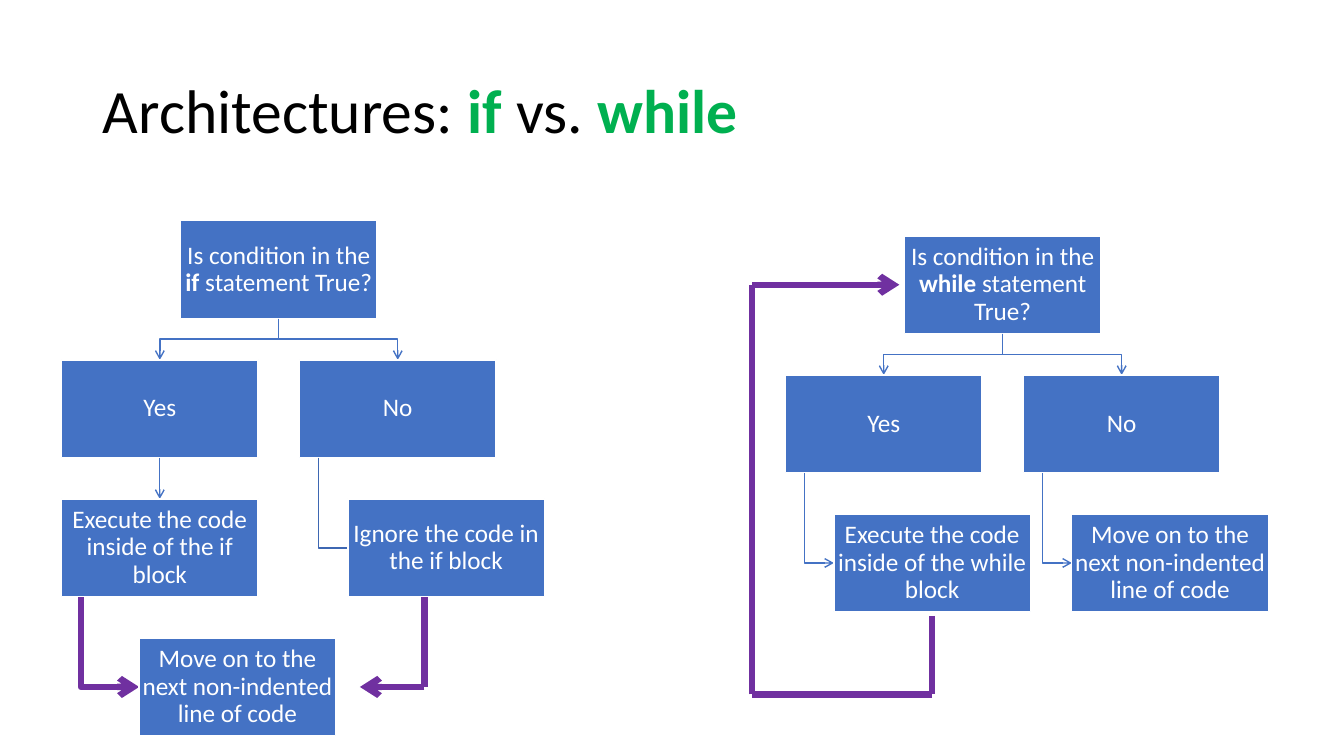
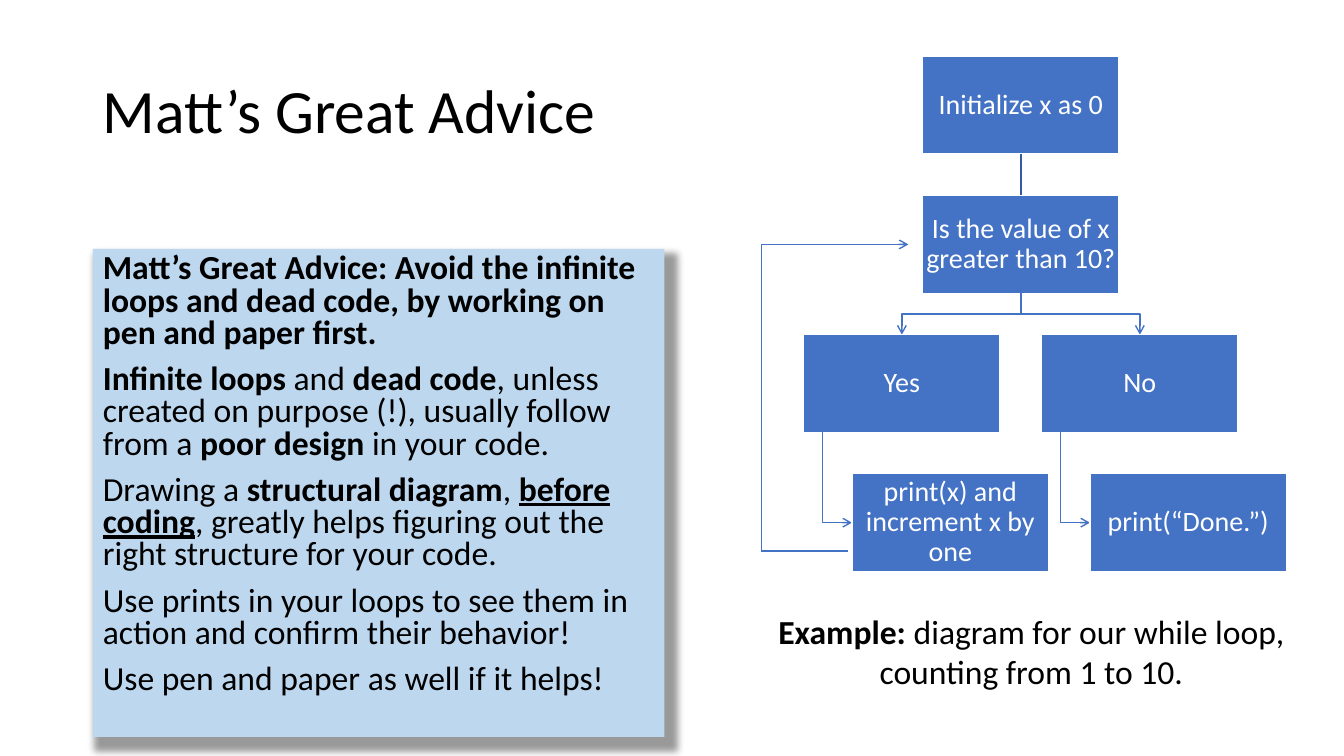
from dataclasses import dataclass
from itertools import pairwise

from lxml import etree
from pptx import Presentation
from pptx import util as u
from pptx.dml.color import RGBColor
from pptx.enum import shapes, text
from pptx.oxml import ns

COLORS = {
    "box": "4472C4", "white": "FFFFFF", "black": "000000", "keyword": "00B050",
    "flow": "7030A0", "plain_link": "3E67B2", "start_link": "365B9D", "panel": "BDD7EE",
}
FONT = "Calibri"
SLIDE_W, SLIDE_H = 13.33, 7.5
BOX_W, BOX_H, GAP = 1.95, 0.97, 0.41
COLUMN, ROW = BOX_W + GAP, BOX_H + GAP
SPINE, HANG = 0.19, 0.48  # offsets of a hanging link and its box from the parent's left
TITLE_AREA = (0.92, 0.4, 11.5, 1.45)
TITLE_ONLY, TITLE_AND_BODY = 5, 1


@dataclass
class Box:
    left: float
    top: float

    @property
    def center(self):
        return self.left + BOX_W / 2

    @property
    def middle(self):
        return self.top + BOX_H / 2

    @property
    def bottom(self):
        return self.top + BOX_H

    def moved(self, across, down):
        return Box(self.left + across, self.top + down)


def rgb(name):
    return RGBColor.from_string(COLORS[name])


def lengths(*values):
    return [u.Inches(value) for value in values]


def place(shape, area):
    shape.left, shape.top, shape.width, shape.height = lengths(*area)


def write(paragraph, parts, size, color, align=text.PP_ALIGN.LEFT, spacing=1.0):
    """Fill a paragraph from strings and (string, style) pairs; b bold, u underlined, k keyword."""
    paragraph.alignment = align
    paragraph.line_spacing = spacing
    paragraph.space_before = u.Pt(0)
    for part in [parts] if isinstance(parts, str) else parts:
        words, style = (part, "") if isinstance(part, str) else part
        run = paragraph.add_run()
        run.text = words
        font = run.font
        font.name, font.size = FONT, u.Pt(size)
        font.bold, font.underline = "b" in style, "u" in style
        font.color.rgb = rgb("keyword" if "k" in style else color)


def finish_line(shape, color, width, arrow):
    shape.line.color.rgb = rgb(color)
    shape.line.width = u.Pt(width)
    properties = shape.element.spPr
    if arrow:
        outline = properties.find(ns.qn("a:ln"))
        etree.SubElement(outline, ns.qn("a:tailEnd"), type="arrow")
    etree.SubElement(properties, ns.qn("a:effectLst"))


def bent_line(slide, points, color="box", width=1, arrow=True):
    corners = [tuple(lengths(*point)) for point in points]
    builder = slide.shapes.build_freeform(*corners[0])
    builder.add_line_segments(corners[1:], close=False)
    link = builder.convert_to_shape()
    link.fill.background()
    finish_line(link, color, width, arrow)


def straight_lines(slide, points, color="box", width=1, arrow=True):
    """Join the points with connectors; the arrowhead goes on the last one."""
    for start, end in pairwise(points):
        link = slide.shapes.add_connector(
            shapes.MSO_CONNECTOR.STRAIGHT, *lengths(*start, *end))
        finish_line(link, color, width, arrow and end == points[-1])


def step(slide, box, label, size):
    rect = slide.shapes.add_shape(
        shapes.MSO_SHAPE.RECTANGLE, *lengths(box.left, box.top, BOX_W, BOX_H))
    rect.shadow.inherit = False
    rect.fill.solid()
    rect.fill.fore_color.rgb = rgb("box")
    rect.line.color.rgb = rgb("white")
    rect.line.width = u.Pt(1)
    frame = rect.text_frame
    frame.word_wrap = True
    frame.vertical_anchor = text.MSO_ANCHOR.MIDDLE
    frame.margin_left = frame.margin_right = u.Inches(0.01)
    frame.margin_top = frame.margin_bottom = u.Inches(0.01)
    write(frame.paragraphs[0], label, size, "white", text.PP_ALIGN.CENTER, 0.9)


def drop(slide, upper, lower, color="box", arrow=True):
    straight_lines(slide, [(upper.center, upper.bottom), (lower.center, lower.top)],
                   color, arrow=arrow)


def hang(slide, parent, child, **style):
    spine = parent.left + SPINE
    bent_line(slide, [(spine, parent.bottom), (spine, child.middle),
                      (child.left, child.middle)], **style)


def decision(slide, question, label, size):
    """Draw a question with its two answers, and return the answers' boxes."""
    step(slide, question, label, size)
    answers = [question.moved(side * COLUMN / 2, ROW) for side in (-1, 1)]
    turn = question.bottom + GAP / 2
    for answer, word in zip(answers, ("Yes", "No")):
        bent_line(slide, [(question.center, question.bottom), (question.center, turn),
                          (answer.center, turn), (answer.center, answer.top)])
        step(slide, answer, word, size)
    return answers


def if_diagram(slide, question, size=18):
    yes, no = decision(
        slide, question, ["Is condition in the ", ("if", "b"), " statement True?"], size)
    execute, ignore = yes.moved(0, ROW), no.moved(HANG, ROW)
    move_on = execute.moved(0.77, ROW)
    drop(slide, yes, execute)
    hang(slide, no, ignore, color="plain_link", arrow=False)
    hang(slide, execute, move_on, color="flow", width=4.5)
    turn = ignore.left + 0.76
    straight_lines(slide, [(turn, ignore.bottom), (turn, move_on.middle),
                           (move_on.left + BOX_W + 0.24, move_on.middle)], "flow", 4.5)
    step(slide, execute, "Execute the code inside of the if block", size)
    step(slide, ignore, "Ignore the code in the if block", size)
    step(slide, move_on, "Move on to the next non-indented line of code", size)


def while_diagram(slide, question, label, outcomes, size):
    """Draw a decision whose answers each lead to a hanging box; return the loop body's box."""
    answers = decision(slide, question, label, size)
    results = [answer.moved(HANG, ROW) for answer in answers]
    for answer, result, outcome in zip(answers, results, outcomes):
        hang(slide, answer, result)
        step(slide, result, outcome, size)
    return results[0]


def add_slide(deck, layout, title):
    slide = deck.slides.add_slide(deck.slide_layouts[layout])
    heading = slide.shapes.title
    place(heading, TITLE_AREA)
    heading.text_frame.vertical_anchor = text.MSO_ANCHOR.MIDDLE
    write(heading.text_frame.paragraphs[0], title, 44, "black", spacing=0.9)
    return slide


def advice_panel(body, area, advice):
    place(body, area)
    body.fill.solid()
    body.fill.fore_color.rgb = rgb("panel")
    effects = etree.SubElement(body.element.spPr, ns.qn("a:effectLst"))
    halo = etree.SubElement(effects, ns.qn("a:outerShdw"), blurRad="63500",
                            sx="102000", sy="102000", algn="ctr", rotWithShape="0")
    shade = etree.SubElement(halo, ns.qn("a:prstClr"), val="black")
    etree.SubElement(shade, ns.qn("a:alpha"), val="40000")
    frame = body.text_frame
    frame.auto_size = text.MSO_AUTO_SIZE.NONE
    for index, parts in enumerate(advice):
        paragraph = frame.add_paragraph() if index else frame.paragraphs[0]
        write(paragraph, parts, 24, "black", spacing=0.8)
        paragraph.space_before = u.Pt(10 if index else 0)
        layout = paragraph._p.get_or_add_pPr()
        layout.set("marL", "0")
        layout.set("indent", "0")
        etree.SubElement(layout, ns.qn("a:buNone"))


def caption(slide, area, parts):
    frame = slide.shapes.add_textbox(*lengths(*area)).text_frame
    frame.word_wrap = True
    write(frame.paragraphs[0], parts, 24, "black", text.PP_ALIGN.CENTER)


def architectures_slide(deck):
    slide = add_slide(deck, TITLE_ONLY,
                      ["Architectures: ", ("if", "bk"), " vs. ", ("while", "bk")])
    if_diagram(slide, Box(1.79, 2.19))
    question = Box(8.97, 2.34)
    repeat = while_diagram(
        slide, question, ["Is condition in the ", ("while", "b"), " statement True?"],
        ["Execute the code inside of the while block",
         "Move on to the next non-indented line of code"], 18)
    side, floor = question.left - 1.51, repeat.bottom + 0.82
    straight_lines(slide, [(repeat.center, repeat.bottom + 0.04), (repeat.center, floor),
                           (side, floor), (side, question.middle),
                           (question.left - 0.05, question.middle)], "flow", 4.5)


def advice_slide(deck):
    slide = add_slide(deck, TITLE_AND_BODY, "Matt’s Great Advice")
    advice_panel(slide.placeholders[1], (0.92, 2.47, 5.67, 4.84), [
        [("Matt’s Great Advice: Avoid the infinite loops and dead code, "
          "by working on pen and paper first.", "b")],
        [("Infinite loops ", "b"), "and ", ("dead code", "b"),
         ", unless created on purpose (!), usually follow from a ",
         ("poor design", "b"), " in your code."],
        ["Drawing a ", ("structural diagram", "b"), ", ", ("before coding", "bu"),
         ", greatly helps figuring out the right structure for your code."],
        "Use prints in your loops to see them in action and confirm their behavior!",
        "Use pen and paper as well if it helps!",
    ])
    start = Box(9.15, 0.56)
    question = start.moved(0, ROW)
    step(slide, start, "Initialize x as 0", 20)
    drop(slide, start, question, "start_link", arrow=False)
    repeat = while_diagram(slide, question, "Is the value of x greater than 10?",
                           ["print(x) and increment x by one", "print(“Done.”)"], 20)
    side, exit_row = question.left - 1.6, repeat.middle + 0.28
    straight_lines(slide, [(repeat.left - 0.04, exit_row), (side, exit_row),
                           (side, question.middle), (question.left - 0.14, question.middle)])
    caption(slide, (side, 6.01, 5.36, 0.91),
            [("Example:", "b"), " diagram for our while loop, counting from 1 to 10."])


def main():
    deck = Presentation()
    deck.slide_width, deck.slide_height = lengths(SLIDE_W, SLIDE_H)
    architectures_slide(deck)
    advice_slide(deck)
    deck.save("out.pptx")


if __name__ == "__main__":
    main()
